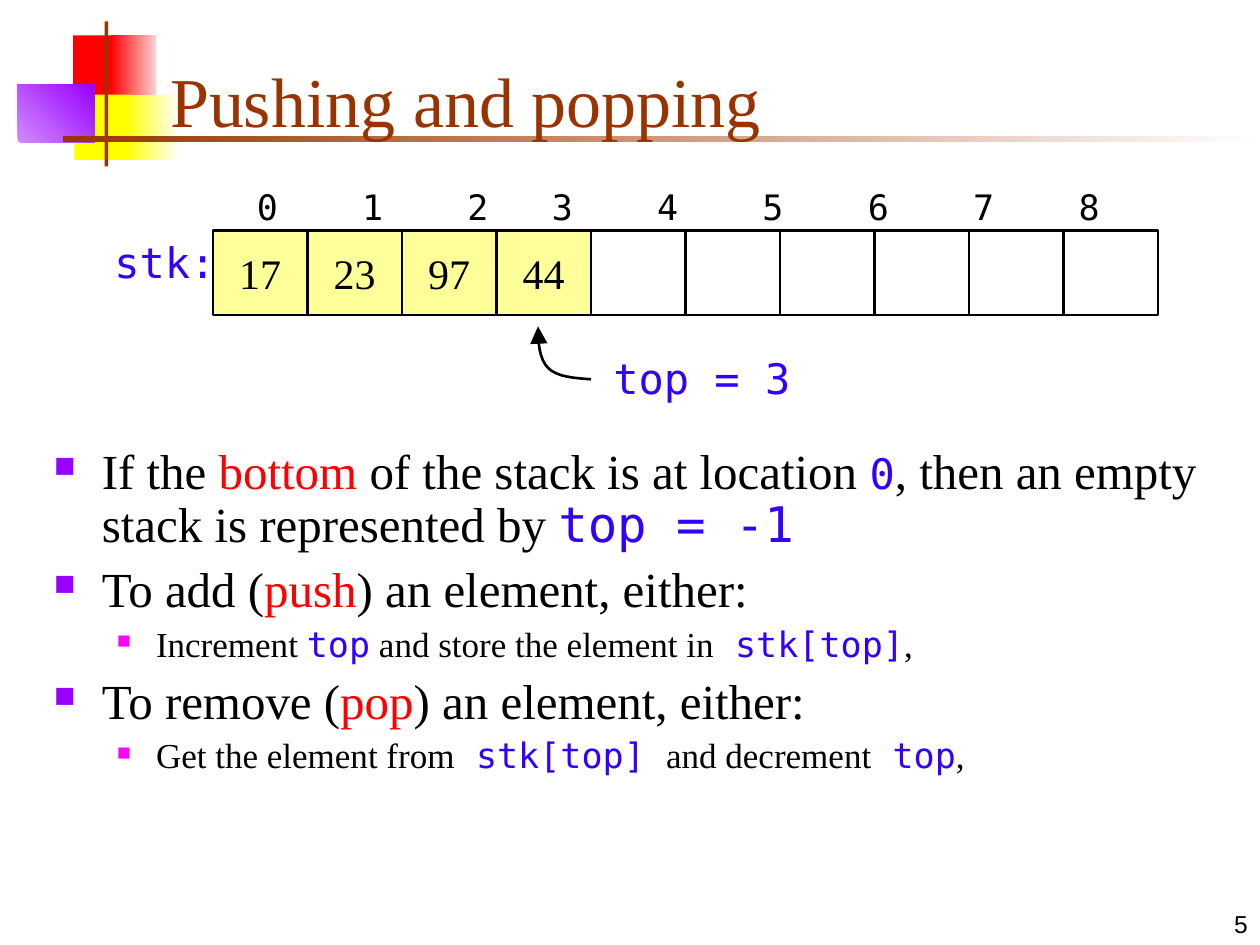
from typing import NamedTuple

from lxml.etree import SubElement
from pptx import Presentation
from pptx.dml.color import RGBColor
from pptx.enum.shapes import MSO_SHAPE
from pptx.enum.text import MSO_ANCHOR, PP_ALIGN
from pptx.oxml.ns import qn
from pptx.util import Inches, Pt

BLACK = RGBColor(0, 0, 0)
WHITE = RGBColor(0xFF, 0xFF, 0xFF)
RED = RGBColor(0xFF, 0, 0)
PINK = RGBColor(0xFF, 0xD1, 0xD1)
YELLOW = RGBColor(0xFF, 0xFF, 0)
CREAM = RGBColor(0xFF, 0xFF, 0xF0)
PURPLE = RGBColor(0x99, 0, 0xFF)
LILAC = RGBColor(0xD1, 0x8B, 0xFF)
BROWN = RGBColor(0x99, 0x33, 0)
BLUE = RGBColor(0x33, 0, 0xFF)
MAGENTA = RGBColor(0xFF, 0, 0xFF)
PALE = RGBColor(0xFF, 0xFF, 0x99)
SERIF, MONO, SANS = "Times New Roman", "DejaVu Sans Mono", "Arial"


class Box(NamedTuple):
    x: float
    y: float
    w: float
    h: float


class Block(NamedTuple):
    box: Box
    color: RGBColor
    fade: RGBColor | None = None
    angle: int = 0


class Level(NamedTuple):
    size: int
    left: float
    hang: float
    space: int
    color: RGBColor
    scale: int


class Bit(NamedTuple):
    text: str
    color: RGBColor = BLACK
    font: str = SERIF
    size: int | None = None


class Item(NamedTuple):
    level: int
    bits: list[Bit]


def code(text: str, size: int | None = None) -> Bit:
    return Bit(text, BLUE, MONO, size)


def style(font, size: int, color: RGBColor, name: str) -> None:
    font.size, font.name = Pt(size), name
    font.color.rgb = color


def add_rect(slide, box: Box):
    shape = slide.shapes.add_shape(MSO_SHAPE.RECTANGLE, *map(Inches, box))
    shape.shadow.inherit = False
    return shape


def add_block(slide, block: Block) -> None:
    shape = add_rect(slide, block.box)
    shape.line.fill.background()
    if block.fade is None:
        shape.fill.solid()
        shape.fill.fore_color.rgb = block.color
        return
    shape.fill.gradient()
    shape.fill.gradient_angle = block.angle
    for stop, color in zip(shape.fill.gradient_stops, (block.color, block.fade)):
        stop.color.rgb = color


def add_text(slide, box: Box, text: str, size: int, color: RGBColor, name: str, wrap: bool = True):
    frame = slide.shapes.add_textbox(*map(Inches, box)).text_frame
    frame.word_wrap = wrap
    frame.text = text
    style(frame.paragraphs[0].runs[0].font, size, color, name)
    return frame


def add_cell(slide, box: Box, text: str) -> None:
    shape = add_rect(slide, box)
    shape.line.color.rgb = BLACK
    shape.line.width = Pt(1.5)
    if not text:
        shape.fill.background()
        return
    shape.fill.solid()
    shape.fill.fore_color.rgb = PALE
    frame = shape.text_frame
    frame.word_wrap = False
    frame.vertical_anchor = MSO_ANCHOR.MIDDLE
    frame.text = text
    para = frame.paragraphs[0]
    para.alignment = PP_ALIGN.CENTER
    style(para.runs[0].font, 24, BLACK, SERIF)


def add_tabs(para, stops: list[float]) -> None:
    tabs = SubElement(para._p.get_or_add_pPr(), qn("a:tabLst"))
    for stop in stops:
        SubElement(tabs, qn("a:tab"), pos=str(Inches(stop)), algn="l")


def add_bullet(para, level: Level) -> None:
    props = para._p.get_or_add_pPr()
    props.set("marL", str(Inches(level.left)))
    props.set("indent", str(-Inches(level.hang)))
    tint = SubElement(props, qn("a:buClr"))
    SubElement(tint, qn("a:srgbClr"), val=str(level.color))
    SubElement(props, qn("a:buSzPct"), val=str(level.scale * 1000))
    SubElement(props, qn("a:buChar"), char="■")


def add_list(slide, box: Box, items: list[Item]) -> None:
    frame = slide.shapes.add_textbox(*map(Inches, box)).text_frame
    frame.word_wrap = True
    for i, item in enumerate(items):
        para = frame.add_paragraph() if i else frame.paragraphs[0]
        level = LEVELS[item.level]
        para.level = item.level
        add_bullet(para, level)
        para.line_spacing = 0.9
        if i:
            para.space_before = Pt(level.space)
        for bit in item.bits:
            run = para.add_run()
            run.text = bit.text
            style(run.font, bit.size or level.size, bit.color, bit.font)


def bend(a, b, c, d, steps: int = 8) -> list[tuple[float, float]]:
    """Points along a cubic curve, without its start."""
    ts = [n / steps for n in range(1, steps + 1)]
    return [tuple((1 - t) ** 3 * p + 3 * t * (1 - t) ** 2 * q + 3 * t * t * (1 - t) * r + t ** 3 * s
                  for p, q, r, s in zip(a, b, c, d)) for t in ts]


def add_arrow(slide) -> None:
    start, mid, end = (4.69, 3.01), (4.35, 2.92), (4.27, 2.59)
    curve = bend(start, (4.55, 3), (4.42, 2.99), mid) + bend(mid, (4.28, 2.85), (4.27, 2.72), end)
    # Freeform points are whole numbers, so they are given in EMU
    first, *rest = [(Inches(x), Inches(y)) for x, y in [start, *curve]]
    pen = slide.shapes.build_freeform(*first)
    pen.add_line_segments(rest, close=False)
    shape = pen.convert_to_shape()
    shape.shadow.inherit = False
    shape.fill.background()
    shape.line.color.rgb = BLACK
    shape.line.width = Pt(1.5)
    SubElement(shape.line._get_or_add_ln(), qn("a:tailEnd"), type="triangle", w="lg", len="lg")


BLOCKS = [
    Block(Box(0.58, 0.28, 0.35, 0.52), RED),
    Block(Box(0.88, 0.28, 0.36, 0.52), RED, PINK),
    Block(Box(0.59, 0.75, 0.46, 0.52), YELLOW),
    Block(Box(1, 0.75, 0.4, 0.52), YELLOW, CREAM),
    Block(Box(0.14, 0.67, 0.61, 0.46), LILAC, PURPLE, 45),
    Block(Box(0.83, 0.17, 0.03, 1.15), BROWN),
    Block(Box(0.5, 1.08, 9.5, 0.05), BROWN, WHITE),
]
LEVELS = [Level(28, 0.38, 0.38, 7, PURPLE, 60), Level(20, 0.81, 0.31, 5, MAGENTA, 55)]
ITEMS = [
    Item(0, [Bit("If the "), Bit("bottom", RED), Bit(" of the stack is at location "), code("0", 24),
             Bit(", then an empty stack is represented by "), code("top = -1")]),
    Item(0, [Bit("To add ("), Bit("push", RED), Bit(") an element, either:")]),
    Item(1, [Bit("Increment "), code("top"), Bit(" and store the element in"), code(" stk[top]"), Bit(",")]),
    Item(0, [Bit("To remove ("), Bit("pop", RED), Bit(") an element, either:")]),
    Item(1, [Bit("Get the element from"), code(" stk[top] "), Bit("and decrement"), code(" top"), Bit(",")]),
]
STACK = ["17", "23", "97", "44"] + [""] * 6


def main() -> None:
    deck = Presentation()
    deck.slide_width, deck.slide_height = Inches(10), Inches(7.5)
    slide = deck.slides.add_slide(deck.slide_layouts[5])

    # Corner decoration
    for block in BLOCKS:
        add_block(slide, block)

    # Title, raised above the decoration
    title = slide.shapes.title
    title.left, title.top, title.width, title.height = map(Inches, (1.25, 0.17, 8.17, 1))
    frame = title.text_frame
    frame.text = "Pushing and popping"
    frame.vertical_anchor = MSO_ANCHOR.BOTTOM
    frame.paragraphs[0].alignment = PP_ALIGN.LEFT
    style(frame.paragraphs[0].runs[0].font, 40, BROWN, SERIF)
    slide.shapes._spTree.append(title._element)

    # Slide number and bullets
    frame = add_text(slide, Box(7.92, 7, 2.08, 0.5), "5", 14, BLACK, SANS)
    frame.vertical_anchor = MSO_ANCHOR.BOTTOM
    frame.paragraphs[0].alignment = PP_ALIGN.RIGHT
    add_list(slide, Box(0.33, 3.5, 9.42, 3.08), ITEMS)

    # Pointer to the top of the stack
    add_text(slide, Box(4.77, 2.75, 1.83, 0.5), "top = 3", 24, BLUE, MONO)
    add_arrow(slide)

    # Stack with its indices; the gap before 3 is one letter narrower
    frame = add_text(slide, Box(1.94, 1.42, 7.67, 0.77), "\t".join(map(str, range(9))), 20, BLACK, MONO)
    letter = 12.04 / 72
    add_tabs(frame.paragraphs[0], [letter * (5 * n - (n >= 3)) for n in range(1, 9)])
    for n, text in enumerate(STACK):
        add_cell(slide, Box(1.69 + 0.75 * n, 1.83, 0.75, 0.67), text)
    add_text(slide, Box(0.81, 1.83, 1, 0.5), "stk:", 24, BLUE, MONO, wrap=False)

    deck.save("out.pptx")


if __name__ == "__main__":
    main()
